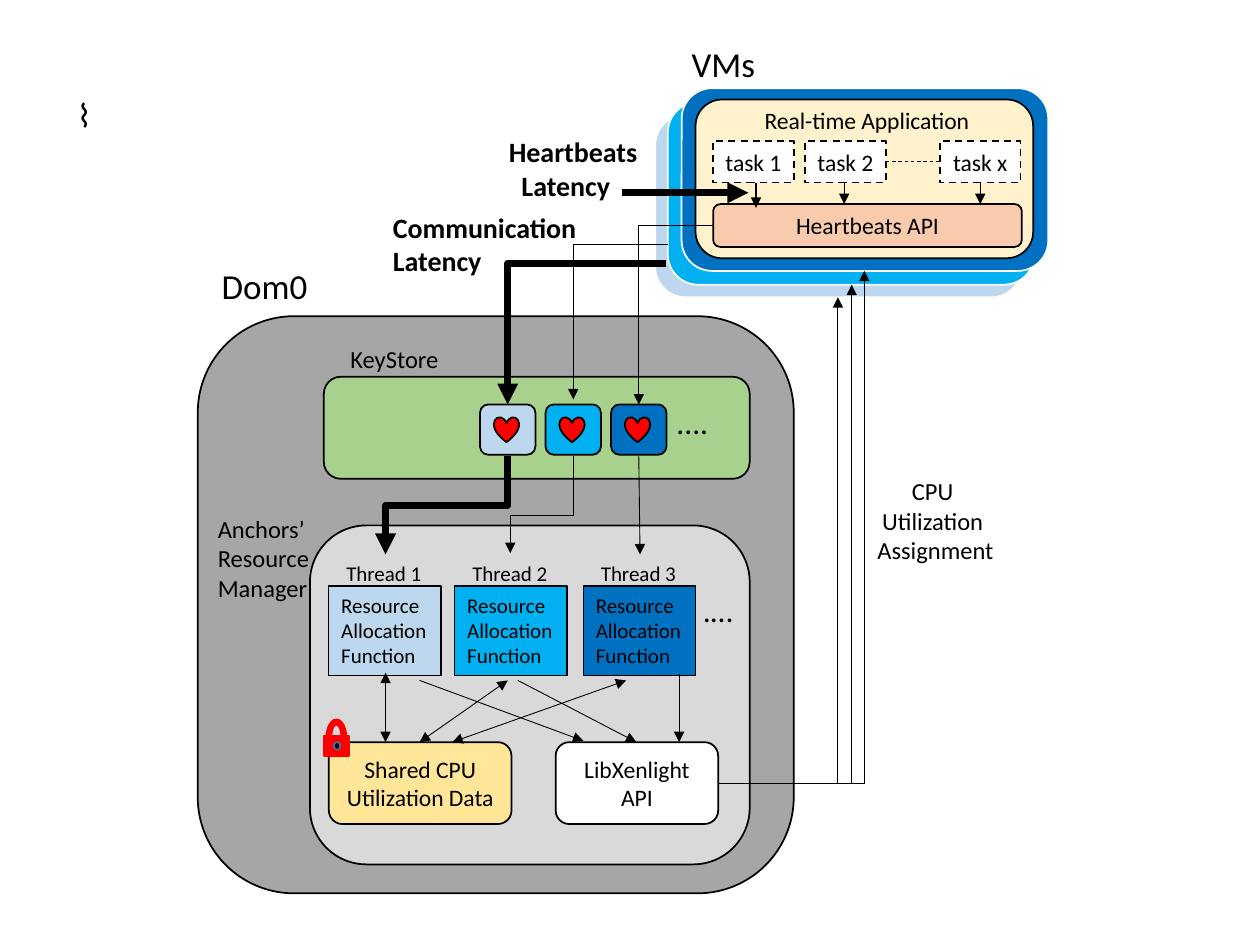
"""Build the slide on heartbeat and CPU assignment flow between Dom0 and the VMs."""
from lxml.etree import SubElement
from pptx import Presentation
from pptx.dml.color import RGBColor
from pptx.enum.dml import MSO_LINE as Dash
from pptx.enum.shapes import MSO_CONNECTOR as Link, MSO_SHAPE as Preset
from pptx.enum.text import MSO_ANCHOR as Anchor, PP_ALIGN as Align
from pptx.oxml.ns import qn
from pptx.util import Inches, Pt

BLACK, WHITE, RED = "000000", "FFFFFF", "FF0000"
VM_COLORS = ["BDD7EE", "00B0F0", "0070C0"]
ROUND, RECT = Preset.ROUNDED_RECTANGLE, Preset.RECTANGLE

deck = Presentation()
deck.slide_width, deck.slide_height = Inches(10), Inches(7.5)
slide = deck.slides.add_slide(deck.slide_layouts[6])


def block(at, text="", size=13.5, preset=None, fill=WHITE, line=BLACK, width=1,
          bold=False, align=Align.CENTER, wrap=True, inset=(0.07, 0.04), anchor=Anchor.MIDDLE):
    place = [Inches(value) for value in at]
    if preset is None:
        part = slide.shapes.add_textbox(*place)
    else:
        part = slide.shapes.add_shape(preset, *place)
        part.shadow.inherit = False
        part.fill.solid()
        part.fill.fore_color.rgb = RGBColor.from_string(fill)
        part.line.color.rgb = RGBColor.from_string(line)
        part.line.width = Pt(width)
    if text:
        frame = part.text_frame
        frame.text = text
        side, edge = Inches(inset[0]), Inches(inset[1])
        frame_format = {"word_wrap": wrap, "vertical_anchor": anchor, "margin_left": side,
                        "margin_right": side, "margin_top": edge, "margin_bottom": edge}
        for name, value in frame_format.items():
            setattr(frame, name, value)
        for paragraph in frame.paragraphs:
            paragraph.alignment = align
            for name, value in {"name": "Calibri", "size": Pt(size), "bold": bold}.items():
                setattr(paragraph.runs[0].font, name, value)
            paragraph.runs[0].font.color.rgb = RGBColor.from_string(BLACK)
    return part


def arrow(start, end, width=0.5, ends=("tailEnd",), corner=False, bend=None):
    (x1, y1), (x2, y2) = start, end
    if bend is not None:
        mid_x, mid_y = (x1 + x2) / 2, (y1 + y2) / 2
        half_w, half_h = (y2 - y1) / 2, (x1 - x2) / 2
        x1, y1, x2, y2 = mid_x - half_w, mid_y - half_h, mid_x + half_w, mid_y + half_h
    kind = Link.ELBOW if corner or bend is not None else Link.STRAIGHT
    link = slide.shapes.add_connector(kind, *[Inches(v) for v in (x1, y1, x2, y2)])
    link.line.color.rgb = RGBColor.from_string(BLACK)
    link.line.width = Pt(width)
    properties = link._element.spPr
    geometry = properties.find(qn("a:prstGeom"))
    if corner:
        geometry.set("prst", "bentConnector2")
    if bend is not None:
        properties.find(qn("a:xfrm")).set("rot", "5400000")
        SubElement(geometry.find(qn("a:avLst")), qn("a:gd"), name="adj1",
                   fmla=f"val {round(bend * 100000)}")
    for tag in ends:
        SubElement(properties.find(qn("a:ln")), qn(f"a:{tag}"), type="triangle")
    SubElement(properties, qn("a:effectLst"))
    return link


label = {"align": Align.LEFT, "wrap": False, "inset": (0.1, 0.05), "anchor": Anchor.TOP}
wrapped = {**label, "wrap": True}
centred = {**label, "align": Align.CENTER}

block((1.57, 2.51, 4.73, 4.58), preset=ROUND, fill="A6A6A6")
block((1.66, 2.05, 0.89, 0.44), "Dom0", 20, **label)
for x, y, color in zip((5.2, 5.3, 5.41), (0.91, 0.81, 0.7), VM_COLORS):
    block((x, y, 2.91, 1.45), preset=ROUND, fill=color, line=WHITE)
block((5.39, 0.29, 0.71, 0.44), "VMs", 20, **label)

block((5.52, 0.79, 2.68, 1.26), preset=ROUND, fill="FFF2CC")
block((5.95, 0.79, 1.86, 0.33), "Real-time Application", **centred)
block((5.66, 1.62, 2.45, 0.34), "Heartbeats API", preset=ROUND, fill="F8CBAD")
for x, task in zip((5.66, 6.39, 7.46), ("task 1", "task 2", "task x")):
    block((x, 1.12, 0.64, 0.33), task, preset=RECT).line.dash_style = Dash.DASH

block((2.57, 2.99, 3.38, 0.81), preset=ROUND, fill="A9D18E")
block((2.67, 2.68, 0.92, 0.34), "KeyStore", 14, **centred)
for index, color in enumerate(VM_COLORS):
    x = 3.81 + 0.52 * index
    block((x, 3.21, 0.44, 0.4), preset=ROUND, fill=color)
    block((x + 0.11, 3.31, 0.2, 0.2), preset=Preset.HEART, fill=RED)
block((5.27, 3.15, 0.63, 0.4), "....", 18, **wrapped)

block((2.46, 4.17, 3.49, 2.69), preset=ROUND, fill="D9D9D9")
block((1.63, 4.03, 0.95, 0.81), "Anchors’ \nResource \nManager", 14, **wrapped)
for number, (x, color) in enumerate(zip((2.61, 3.61, 4.63), VM_COLORS), 1):
    block((x + 0.04, 4.4, 0.8, 0.3), f"Thread {number}", 12, **label)
    block((x, 4.65, 0.89, 0.71), "Resource\nAllocation\nFunction", 12, preset=RECT,
          fill=color, width=0.75, **label)
block((5.48, 4.64, 0.45, 0.4), ".…", 18, **wrapped)
block((2.61, 5.89, 1.45, 0.65), "Shared CPU Utilization Data", preset=ROUND, fill="FFE699")
block((4.41, 5.89, 1.29, 0.65), "LibXenlight\nAPI", preset=ROUND)

block((2.57, 5.84, 0.2, 0.16), preset=RECT, fill=RED, line=RED)
block((2.59, 5.71, 0.16, 0.29), preset=Preset.BLOCK_ARC, fill=RED, line=RED)
block((2.65, 5.89, 0.05, 0.06), preset=Preset.OVAL, fill=BLACK, line="43739E")

block((6.86, 3.73, 1.13, 0.81), "CPU \nUtilization \nAssignment", 14, **centred)
block((0.51, 0.71, 0.45, 0.4), "⌇", 18, **label)
heartbeats = block((3.94, 1.02, 1.39, 0.64), "Heartbeats\nLatency", 16, bold=True, **wrapped)
latency = heartbeats.text_frame.paragraphs[1]
latency._p.get_or_add_pPr().set("marL", str(Inches(0.1)))
block((3.02, 1.62, 1.76, 0.64), "Communication Latency", 16, bold=True, **wrapped)

arrow((6, 1.45), (6, 1.65), 1.5)
for x in (6.7, 7.78):
    arrow((x, 1.45), (x, 1.62))
arrow((7.03, 1.28), (7.46, 1.28), ends=()).line.dash_style = Dash.DASH
arrow((4.94, 1.53), (5.94, 1.53), 4)

arrow((5.66, 1.79), (5.07, 3.21), corner=True)
arrow((5.3, 1.94), (4.55, 3.17), corner=True)
arrow((5.29, 2.09), (4.03, 3.21), 4, corner=True)
arrow((4.03, 3.62), (3.06, 4.4), 4, bend=0.5)
arrow((4.55, 3.62), (4.05, 4.39), bend=0.61)
arrow((5.07, 3.62), (5.08, 4.4))

for start, end in (((3.06, 5.34), (3.06, 5.89)), ((4.03, 5.4), (3.33, 5.89)),
                   ((4.97, 5.4), (3.59, 5.89))):
    arrow(start, end, ends=("headEnd", "tailEnd"))
for start, end in (((3.33, 5.4), (4.63, 5.88)), ((4.11, 5.4), (5.05, 5.89)),
                   ((5.39, 5.35), (5.39, 5.89))):
    arrow(start, end)
for end in ((6.65, 2.36), (6.76, 2.26), (6.86, 2.15)):
    arrow((5.7, 6.22), end, corner=True)

deck.save("out.pptx")
